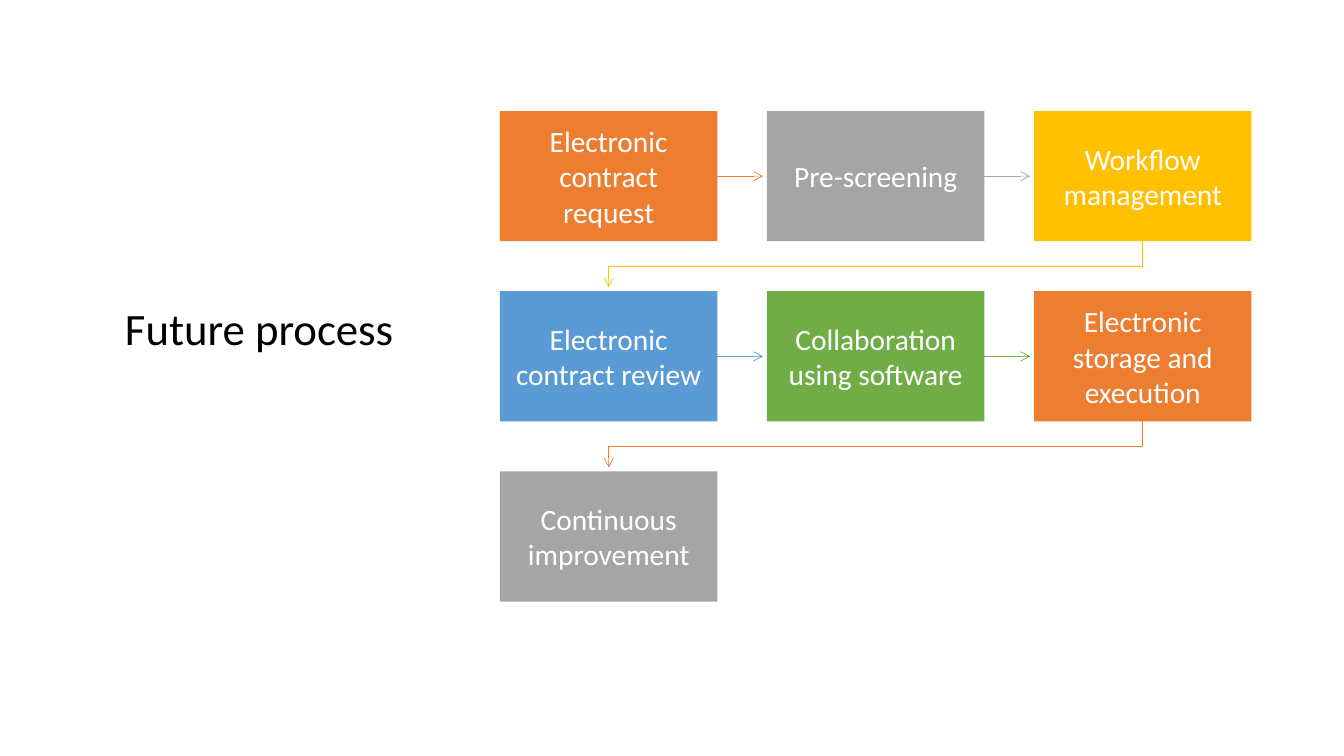
from pptx import Presentation
from pptx import util as u
from pptx.dml import color
from pptx.enum import shapes, text
from pptx.oxml import ns
from lxml import etree

TITLE = "Future process"
STEPS = [
    ("Electronic contract request", "orange"),
    ("Pre-screening", "gray"),
    ("Workflow management", "gold"),
    ("Electronic contract review", "blue"),
    ("Collaboration using software", "green"),
    ("Electronic storage and execution", "orange"),
    ("Continuous improvement", "gray"),
]
THEME = {
    "font": "Calibri",
    "title_size": 32,
    "step_size": 21,
    "line_width": 0.5,
    "black": "000000",
    "white": "FFFFFF",
    "orange": "ED7D31",
    "gray": "A5A5A5",
    "gold": "FFC000",
    "blue": "5B9BD5",
    "green": "70AD47",
}

COLUMNS = 3
LEFT, TOP = u.Cm(12.6), u.Cm(2.8)
WIDTH, HEIGHT = u.Cm(5.48), u.Cm(3.28)
PITCH_X, PITCH_Y = u.Cm(6.73), u.Cm(4.54)
ARROW_CLEARANCE = u.Cm(0.1)
STEP_INSET = u.Cm(0.28)


def rgb(name):
    return color.RGBColor.from_string(THEME[name])


def write(frame, words, size, color_name):
    frame.word_wrap = True
    frame.vertical_anchor = text.MSO_ANCHOR.MIDDLE
    paragraph = frame.paragraphs[0]
    run = paragraph.add_run()
    run.text = words
    run.font.name = THEME["font"]
    run.font.size = u.Pt(THEME[size])
    run.font.color.rgb = rgb(color_name)
    return paragraph


def add_title(slide):
    box = slide.shapes.add_textbox(u.Cm(2.9), u.Cm(1.4), u.Cm(8.3), u.Cm(15.11))
    box.text_frame.margin_bottom = u.Cm(1.37)
    paragraph = write(box.text_frame, TITLE, "title_size", "black")
    paragraph.line_spacing = 0.9


def add_step(slide, index, words, color_name):
    row, column = divmod(index, COLUMNS)
    shape = slide.shapes.add_shape(
        shapes.MSO_SHAPE.RECTANGLE,
        LEFT + column * PITCH_X, TOP + row * PITCH_Y, WIDTH, HEIGHT)
    shape.shadow.inherit = False
    shape.fill.solid()
    shape.fill.fore_color.rgb = rgb(color_name)
    shape.line.fill.background()
    frame = shape.text_frame
    frame.margin_left = frame.margin_right = STEP_INSET
    frame.margin_top = frame.margin_bottom = STEP_INSET
    write(frame, words, "step_size", "white").alignment = text.PP_ALIGN.CENTER
    return shape


def style_arrow(arrow, color_name):
    arrow.line.color.rgb = rgb(color_name)
    arrow.line.width = u.Pt(THEME["line_width"])
    properties = arrow.element.spPr
    line = properties.find(ns.qn("a:ln"))
    etree.SubElement(line, ns.qn("a:tailEnd"), type="arrow")
    etree.SubElement(properties, ns.qn("a:effectLst"))


def add_straight_arrow(slide, source, target):
    middle = source.top + source.height // 2
    arrow = slide.shapes.add_connector(
        shapes.MSO_CONNECTOR.STRAIGHT, source.left + source.width, middle,
        target.left - ARROW_CLEARANCE, middle)
    arrow.begin_connect(source, 3)
    return arrow


def add_return_arrow(slide, source, target):
    start_x = source.left + source.width // 2
    end_x = target.left + target.width // 2
    bottom = source.top + source.height
    middle = (bottom + target.top) // 2
    builder = slide.shapes.build_freeform(start_x, bottom)
    builder.add_line_segments(
        [(start_x, middle), (end_x, middle), (end_x, target.top - ARROW_CLEARANCE)],
        close=False)
    arrow = builder.convert_to_shape()
    arrow.fill.background()
    return arrow


def main():
    presentation = Presentation()
    presentation.slide_width = u.Cm(33.87)
    presentation.slide_height = u.Cm(19.05)
    slide = presentation.slides.add_slide(presentation.slide_layouts[6])
    add_title(slide)
    boxes = [add_step(slide, index, *step) for index, step in enumerate(STEPS)]
    for source, target, (_, color_name) in zip(boxes, boxes[1:], STEPS):
        same_row = source.top == target.top
        add_arrow = add_straight_arrow if same_row else add_return_arrow
        style_arrow(add_arrow(slide, source, target), color_name)
    presentation.save("out.pptx")


if __name__ == "__main__":
    main()
